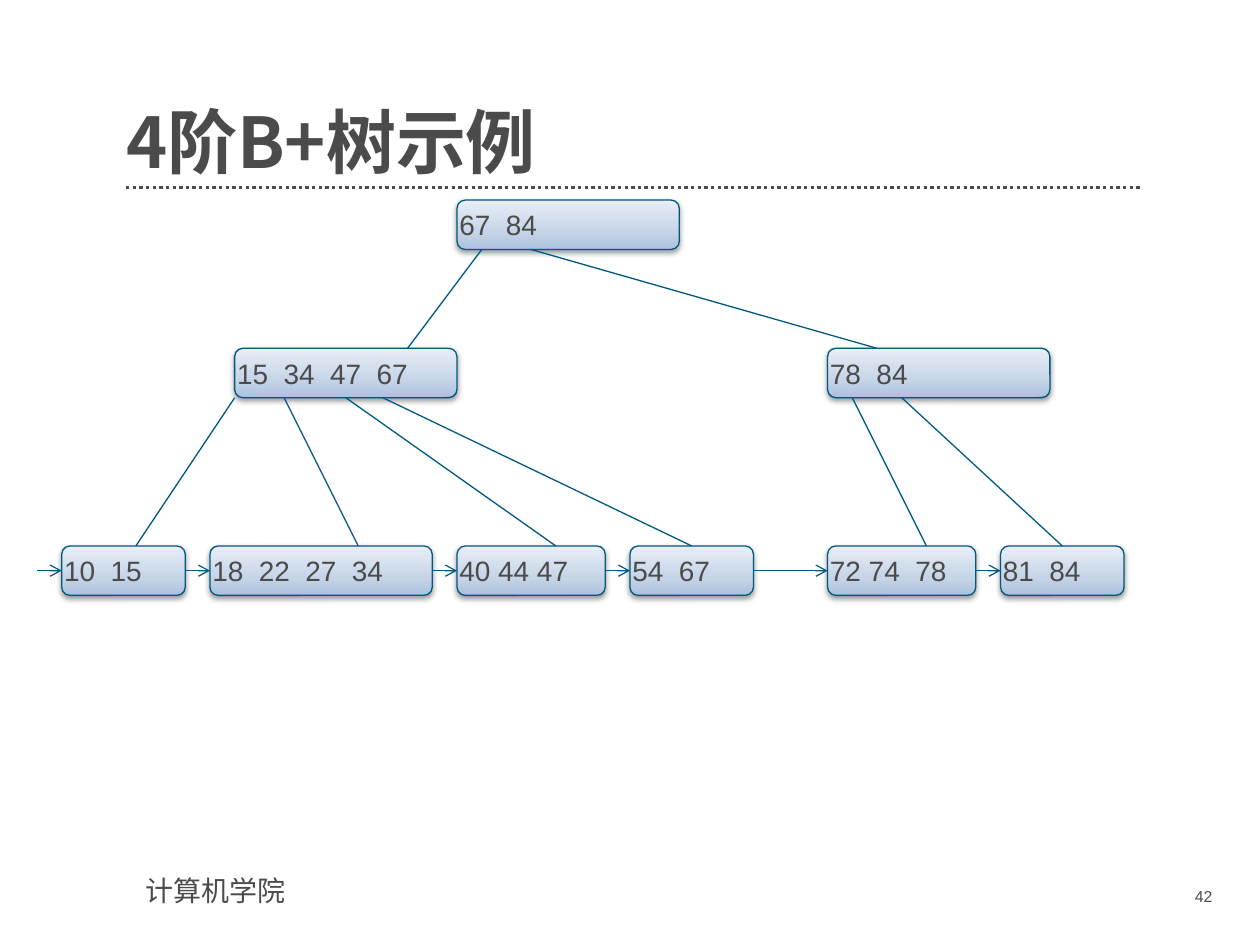
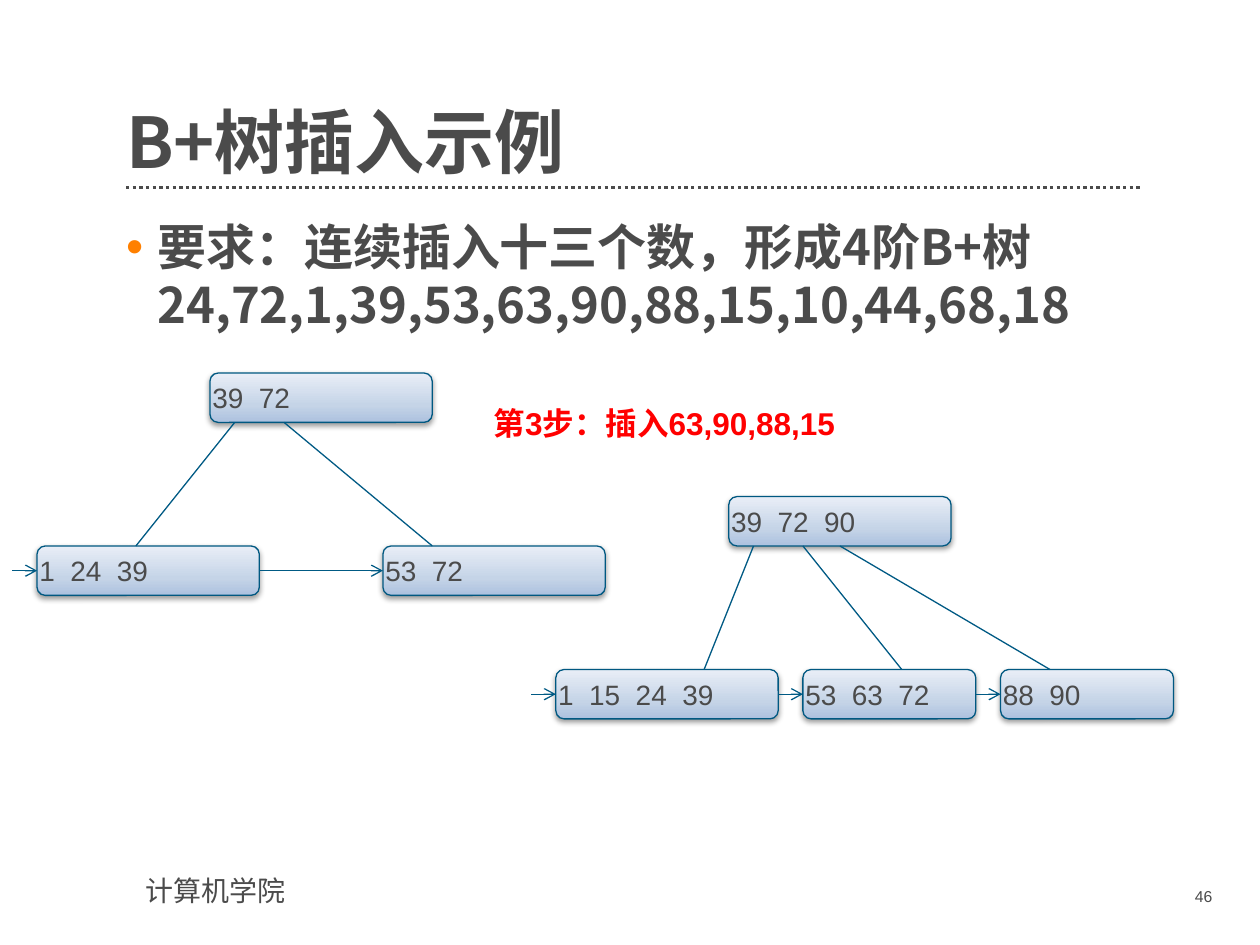
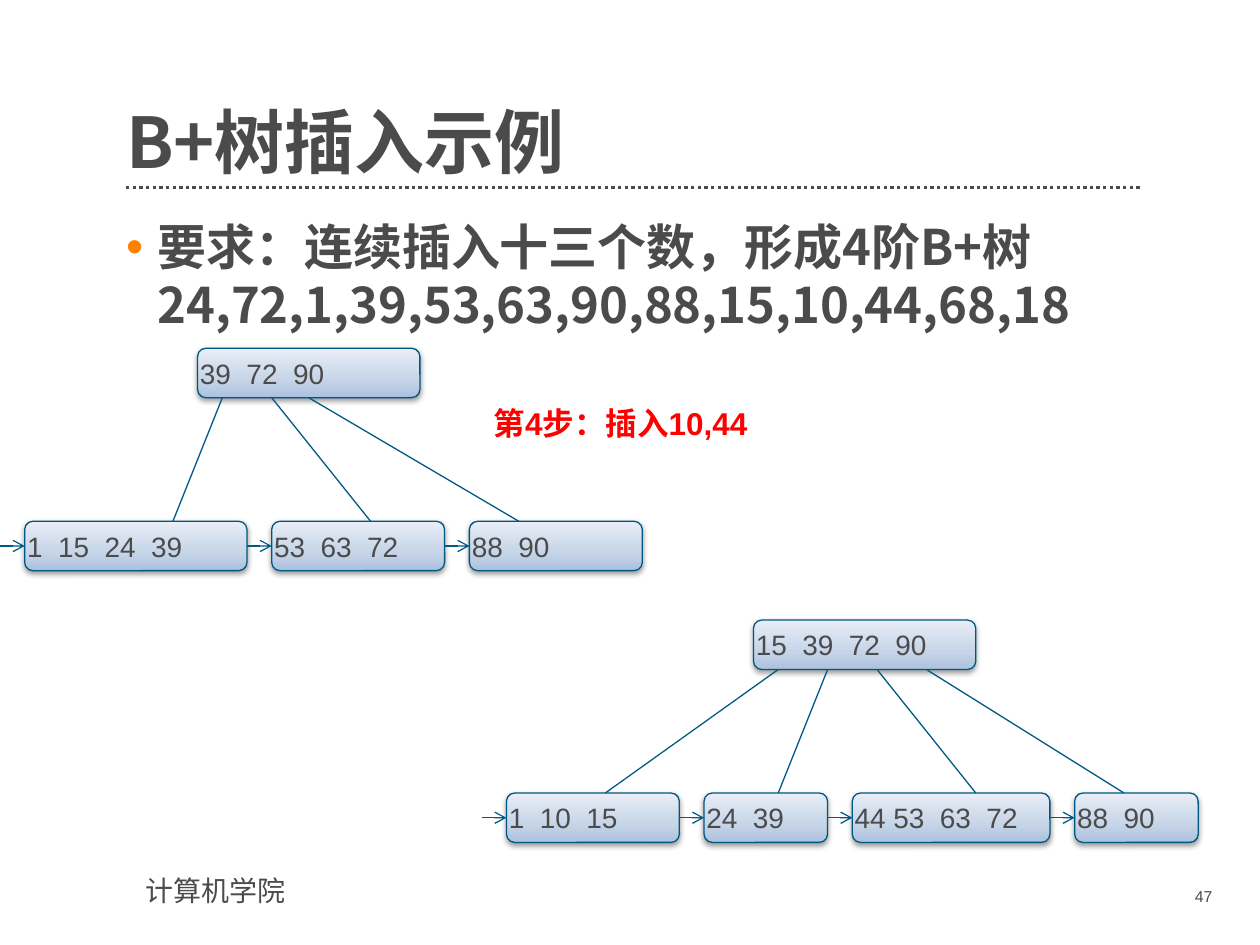
import copy
from dataclasses import dataclass

import pptx
import pptx.dml.color
import pptx.enum.dml
import pptx.enum.shapes
import pptx.enum.text
import pptx.oxml
import pptx.oxml.ns
import pptx.util

COLORS = {
    "text": "4B4B4B", "note": "FF0000", "bullet": "FF8000",
    "node_line": "005881", "link": "005A84",
    "deep": "ACC1DF", "middle": "C5D4E7", "pale": "E9EEF7", "shadow": "000000",
}
SANS, CJK = "Arial", "Noto Sans CJK SC"

# Grid: 51 columns across the slide, with square cells
WIDTH, HEIGHT = pptx.util.Inches(10), pptx.util.Inches(7.5)
CELL = WIDTH / 51
NODE_HEIGHT = 2
ROW_SHIFT = 0.1

NS = pptx.oxml.ns.nsdecls("a")
GRADIENT = [(0, "deep"), (35, "middle"), (100, "pale")]
SHADOW = (
    f'<a:outerShdw {NS} blurRad="40000" dist="20000" dir="5400000" rotWithShape="0">'
    f'<a:srgbClr val="{COLORS["shadow"]}"><a:alpha val="38000"/></a:srgbClr></a:outerShdw>'
)
REQUEST = "要求：连续插入十三个数，形成4阶B+树24,72,1,39,53,63,90,88,15,10,44,68,18"


@dataclass(frozen=True)
class Box:
    """Left, top, width and height in grid cells."""
    col: float
    row: float
    width: float
    height: float

    def emu(self) -> list[int]:
        return [cells(v) for v in (self.col, self.row, self.width, self.height)]


@dataclass(frozen=True)
class Node:
    col: float
    width: float
    keys: str
    row: float = 0


@dataclass(frozen=True)
class Link:
    """Joins two nodes, at distances from their left edges."""
    parent: int
    child: int
    start: float
    end: float


@dataclass(frozen=True)
class Tree:
    """Links count the inner nodes first, then the leaves."""
    inner: tuple[Node, ...]
    leaves: tuple[Node, ...]
    leaf_row: float
    links: tuple[Link, ...]


@dataclass(frozen=True)
class Page:
    number: int
    title: str
    trees: tuple[tuple[Tree, float, float], ...]
    note: str = ""


TITLE = Box(5.1, 2.8, 41.1, 4.64)
BODY = Box(5.1, 8.52, 41.1, 25.5)
FOOTER = Box(5.41, 35.09, 14.08, 1.89)
NUMBER = Box(44.52, 35.65, 5.05, 1.48)
NOTE = Box(19.48, 16.12, 19.02, 2.04)
RULE_ROW = 7.6

# Trees, placed from the left edge of the first leaf and the top of the root
SAMPLE = Tree(
    (Node(16, 9, "67  84"), Node(7, 9, "15  34  47  67", 6), Node(31, 9, "78  84", 6)),
    (Node(0, 5, "10  15"), Node(6, 9, "18  22  27  34"), Node(16, 6, "40 44 47"),
     Node(23, 5, "54  67"), Node(31, 6, "72 74  78"), Node(38, 5, "81  84")),
    14,
    (Link(0, 1, 1, 7), Link(0, 2, 3, 2),
     Link(1, 3, 0, 3), Link(1, 4, 2, 6), Link(1, 5, 4.5, 4), Link(1, 6, 6, 2.5),
     Link(2, 7, 1, 4), Link(2, 8, 3, 2.5)),
)
TWO_LEAVES = Tree(
    (Node(7, 9, "39  72"),),
    (Node(0, 9, "1  24  39"), Node(14, 9, "53  72")),
    7,
    (Link(0, 1, 1, 4), Link(0, 2, 3, 2)),
)
THREE_LEAVES = Tree(
    (Node(7, 9, "39  72  90"),),
    (Node(0, 9, "1  15  24  39"), Node(10, 7, "53  63  72"), Node(18, 7, "88  90")),
    7,
    (Link(0, 1, 1, 6), Link(0, 2, 3, 4), Link(0, 3, 4.5, 2)),
)
FOUR_LEAVES = Tree(
    (Node(10, 9, "15  39  72  90"),),
    (Node(0, 7, "1  10  15"), Node(8, 5, "24  39"),
     Node(14, 8, "44 53  63  72"), Node(23, 5, "88  90")),
    7,
    (Link(0, 1, 1, 4), Link(0, 2, 3, 3), Link(0, 3, 5, 5), Link(0, 4, 7, 2)),
)

PAGES = [
    Page(42, "4阶B+树示例", ((SAMPLE, 2.5, 8),)),
    Page(46, "B+树插入示例", ((TWO_LEAVES, 1.5, 15), (THREE_LEAVES, 22.5, 20)),
         "第3步：插入63,90,88,15"),
    Page(47, "B+树插入示例", ((THREE_LEAVES, 1, 14), (FOUR_LEAVES, 20.5, 25)),
         "第4步：插入10,44"),
]


def cells(count: float) -> int:
    return round(count * CELL)


def rgb(name: str) -> pptx.dml.color.RGBColor:
    return pptx.dml.color.RGBColor.from_string(COLORS[name])


def element(xml: str):
    return pptx.oxml.parse_xml(xml)


def write(sp, text: str, *, size: float, font: str = SANS, color: str = "text",
          bold: bool = False, align: str = "LEFT", anchor: str = "TOP",
          insets: tuple[float, float, float, float] | None = None):
    """Fills a shape with one paragraph; insets are left, top, right, bottom in inches."""
    tf = sp.text_frame
    tf.word_wrap = True
    tf.vertical_anchor = getattr(pptx.enum.text.MSO_ANCHOR, anchor)
    if insets:
        (tf.margin_left, tf.margin_top,
         tf.margin_right, tf.margin_bottom) = map(pptx.util.Inches, insets)
    p = tf.paragraphs[0]
    p.alignment = getattr(pptx.enum.text.PP_ALIGN, align)
    r = p.add_run()
    r.text = text
    r.font.size, r.font.bold, r.font.name = pptx.util.Pt(size), bold, font
    r.font.color.rgb = rgb(color)
    r.font._element.append(element(f'<a:ea {NS} typeface="{CJK}"/>'))
    return p


def add_text(s, box: Box, text: str, **style):
    return write(s.shapes.add_textbox(*box.emu()), text, **style)


def add_line(s, start: tuple[float, float], end: tuple[float, float], *,
             color: str = "link", width: float = 0.75, arrow: bool = False):
    """Draws a straight line between two (column, row) points."""
    line = s.shapes.add_connector(pptx.enum.shapes.MSO_CONNECTOR.STRAIGHT,
                                  *map(cells, start + end))
    line.line.color.rgb = rgb(color)
    line.line.width = pptx.util.Pt(width)
    if arrow:
        line.line._get_or_add_ln().append(element(f'<a:tailEnd {NS} type="arrow"/>'))
    line._element.spPr.append(element(f"<a:effectLst {NS}/>"))
    return line


def add_node(s, node: Node, col: float, row: float):
    box = Box(col, row, node.width, NODE_HEIGHT)
    sp = s.shapes.add_shape(pptx.enum.shapes.MSO_SHAPE.ROUNDED_RECTANGLE, *box.emu())
    # Gradient rising from the bottom edge
    sp.fill.gradient()
    sp.fill.gradient_angle = 90
    props = sp._element.spPr
    stops = props.find(".//" + pptx.oxml.ns.qn("a:gsLst"))
    for old in list(stops):
        stops.remove(old)
    for share, name in GRADIENT:
        stops.append(element(f'<a:gs {NS} pos="{share * 1000}">'
                             f'<a:srgbClr val="{COLORS[name]}"/></a:gs>'))
    sp.line.color.rgb = rgb("node_line")
    sp.line.width = pptx.util.Pt(0.75)
    sp.shadow.inherit = False
    props.find(pptx.oxml.ns.qn("a:effectLst")).append(copy.deepcopy(element(SHADOW)))
    write(sp, node.keys, size=16, anchor="MIDDLE", insets=(0, 0, 0.2, 0))
    return sp


def add_tree(s, tree: Tree, col: float, row: float) -> None:
    row += ROW_SHIFT
    nodes = tree.inner + tree.leaves
    spots = [(col + n.col, row + n.row) for n in tree.inner]
    spots += [(col + n.col, row + tree.leaf_row) for n in tree.leaves]
    shapes = [add_node(s, n, *spot) for n, spot in zip(nodes, spots)]

    # Branches
    for link in tree.links:
        (px, py), (cx, cy) = spots[link.parent], spots[link.child]
        line = add_line(s, (px + link.start, py + NODE_HEIGHT), (cx + link.end, cy))
        if link.start == nodes[link.parent].width / 2:
            line.begin_connect(shapes[link.parent], 2)
        if link.end == nodes[link.child].width / 2:
            line.end_connect(shapes[link.child], 0)

    # Chain of leaves, entered from the left
    middle = row + tree.leaf_row + NODE_HEIGHT / 2
    previous, tail = None, col - 1
    for leaf, sp in zip(tree.leaves, shapes[len(tree.inner):]):
        left = col + leaf.col
        line = add_line(s, (tail, middle), (left, middle), arrow=True)
        if previous is not None:
            line.begin_connect(previous, 3)
        line.end_connect(sp, 1)
        previous, tail = sp, left + leaf.width


def add_request(s) -> None:
    p = add_text(s, BODY, REQUEST, size=28, font=CJK, bold=True,
                 insets=(0, 0.06, 0.2, 0))
    p.line_spacing = pptx.util.Pt(33)
    props = p._p.get_or_add_pPr()
    indent = pptx.util.Inches(0.25)
    props.set("marL", str(indent))
    props.set("indent", str(-indent))
    for xml in (f'<a:buClr {NS}><a:srgbClr val="{COLORS["bullet"]}"/></a:buClr>',
                f'<a:buFont {NS} typeface="{SANS}"/>',
                f'<a:buChar {NS} char="•"/>'):
        props.append(element(xml))


def add_frame(s, page: Page) -> None:
    """Draws the title, its dotted rule, the footer and the page number."""
    rule = add_line(s, (TITLE.col, RULE_ROW), (TITLE.col + TITLE.width, RULE_ROW),
                    color="text", width=1.9)
    rule.line.dash_style = pptx.enum.dml.MSO_LINE.ROUND_DOT
    add_text(s, FOOTER, "计算机学院", size=16)
    p = add_text(s, TITLE, page.title, size=40, font=CJK, bold=True,
                 anchor="BOTTOM", insets=(0, 0, 0, 0))
    p.line_spacing = 0.9
    add_text(s, NUMBER, str(page.number), size=9, align="RIGHT")


def main() -> None:
    prs = pptx.Presentation()
    prs.slide_width, prs.slide_height = WIDTH, HEIGHT
    for page in PAGES:
        s = prs.slides.add_slide(prs.slide_layouts[6])
        add_frame(s, page)
        if page.note:
            add_request(s)
            add_text(s, NOTE, page.note, size=18, color="note", bold=True)
        for tree, col, row in page.trees:
            add_tree(s, tree, col, row)
    prs.save("out.pptx")


if __name__ == "__main__":
    main()
